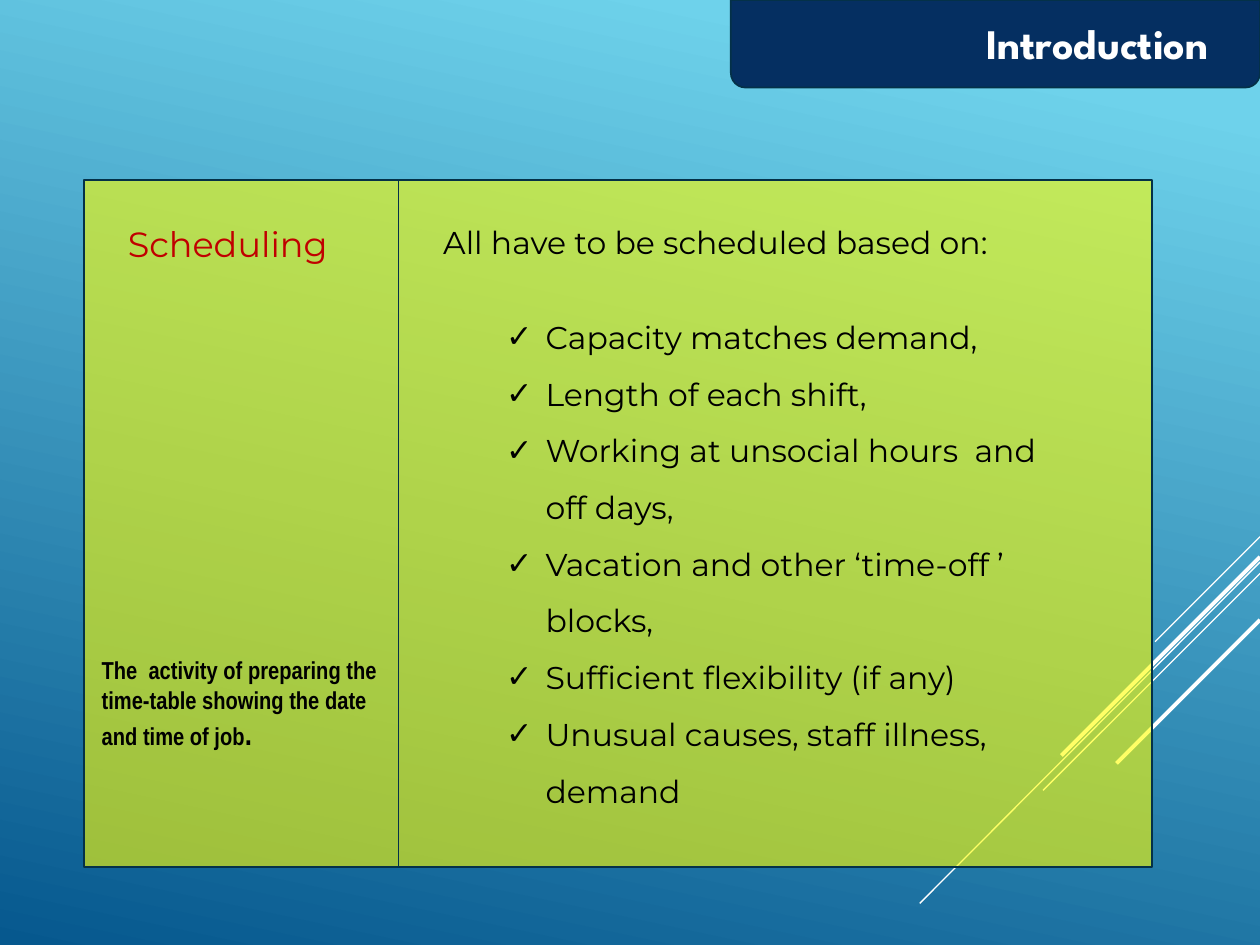
from lxml import etree
from pptx import Presentation
from pptx.dml import color
from pptx.enum import shapes, text
from pptx.oxml import ns
from pptx.util import Pt

HUES = {"sky": "6ED2EB", "deep": "06588E", "navy": "052F61", "edge": "043148",
        "lime": "FFFF00", "white": "FFFFFF", "black": "000000", "red": "C00000"}
FACTORS = ["Capacity matches demand,", "Length of each shift,",
           "Working at unsocial hours  and off days,",
           "Vacation and other ‘time-off ’ blocks,",
           "Sufficient flexibility (if any)",
           "Unusual causes, staff illness, demand"]
BODY = {"size": Pt(18), "name": "Montserrat"}
TERM = {"size": Pt(20), "name": "Montserrat"}
HEAD = {"size": Pt(24), "name": "League Spartan", "bold": True}
NOTE = {"size": Pt(14), "name": "Arial Narrow", "bold": True}


def rgb(hue):
    return color.RGBColor.from_string(HUES[hue])


def apply(item, form):
    for key, value in form.items():
        setattr(item, key, value)


def add_sub(node, tag, **attrs):
    return etree.SubElement(node, ns.qn(tag), attrs)


def add_run(para, words, form, hue):
    run = para.add_run()
    run.text = words
    apply(run.font, form)
    run.font.color.rgb = rgb(hue)


def add_text(slide, box, wrap=True):
    frame = slide.shapes.add_textbox(*map(Pt, box)).text_frame
    apply(frame, {"word_wrap": wrap, "auto_size": text.MSO_AUTO_SIZE.SHAPE_TO_FIT_TEXT})
    return frame


def add_block(slide, kind, box, hue, alpha=100):
    block = slide.shapes.add_shape(kind, *map(Pt, box))
    block.shadow.inherit = False
    block.fill.solid()
    block.fill.fore_color.rgb = rgb(hue)
    if alpha < 100:
        tone = block.fill._xPr.find(ns.qn("a:solidFill"))[0]
        add_sub(tone, "a:alpha", val=str(alpha * 1000))
    block.line.color.rgb = rgb("edge")
    block.line.width = Pt(1)
    return block


def draw_back(slide):
    fill = slide.background.fill
    fill.gradient()
    fill.gradient_angle = 258
    for stop, hue, place in zip(fill.gradient_stops, ("sky", "deep"), (0.1, 1)):
        stop.color.rgb = rgb(hue)
        stop.position = place


def draw_rays(slide, box):
    left, top, wide, high = box
    right = left + wide
    for start, span, drop, width in ((0, 60, 60, 0.75), (14.5, wide, 195, 0.75),
                                     (21, 124, 124, 0.75), (11.5, 113.5, 113.5, 2.25),
                                     (47.5, 82, 82, 2.25)):
        ends = right, top + start, right - span, top + start + drop
        ray = slide.shapes.add_connector(shapes.MSO_CONNECTOR.STRAIGHT, *map(Pt, ends))
        ray.line.color.rgb = rgb("white")
        ray.line.width = Pt(width)
        add_sub(ray._element.spPr, "a:effectLst")


def draw_head(slide, box):
    left, top, wide, high = box
    tab = add_block(slide, shapes.MSO_SHAPE.ROUND_2_SAME_RECTANGLE, box, "navy")
    tab.rotation = 180
    para = add_text(slide, (left + 31.7, top + 6.5, 248.4, 36)).paragraphs[0]
    para.alignment = text.PP_ALIGN.RIGHT
    add_run(para, "Introduction", HEAD, "white")


def draw_list(slide, box):
    left, top, wide, high = box
    add_block(slide, shapes.MSO_SHAPE.RECTANGLE, box, "lime", 60)
    frame = add_text(slide, (left + 18.5, top + 20.8, 360, 345.6))
    add_run(frame.paragraphs[0], "All have to be scheduled based on:", BODY, "black")
    for i, words in enumerate(FACTORS):
        para = frame.add_paragraph()
        apply(para, {"level": 1, "line_spacing": 1.5, "space_before": Pt(0 if i else 22)})
        props = para._p.get_or_add_pPr()
        props.set("marL", str(Pt(58.5)))
        props.set("indent", str(-Pt(22.5)))
        add_sub(props, "a:buFont", typeface="Arial")
        add_sub(props, "a:buChar", char="✓")
        add_run(para, words, BODY, "black")


def draw_term(slide, box):
    left, top, wide, high = box
    add_block(slide, shapes.MSO_SHAPE.RECTANGLE, box, "lime", 60)
    title = add_text(slide, (left + 18, top + 20.8, 136.8, 55.4), False)
    add_run(title.paragraphs[0], "Scheduling", TERM, "red")
    para = add_text(slide, (left + 3, top + 267.8, 174.2, 63.4)).paragraphs[0]
    add_run(para, "The  activity of preparing the time-table showing the date and time of job",
            NOTE, "black")
    add_run(para, ".", {**NOTE, "size": Pt(18)}, "black")


deck = Presentation()
apply(deck, {"slide_width": Pt(720), "slide_height": Pt(540)})
slide = deck.slides.add_slide(deck.slide_layouts[6])
draw_back(slide)
draw_rays(slide, (525.6, 306.7, 194.4, 209.5))
draw_head(slide, (417.6, 0, 302.4, 50))
draw_list(slide, (227.7, 103, 430.7, 392.4))
draw_term(slide, (48, 103, 179.7, 392.4))
deck.save("out.pptx")
